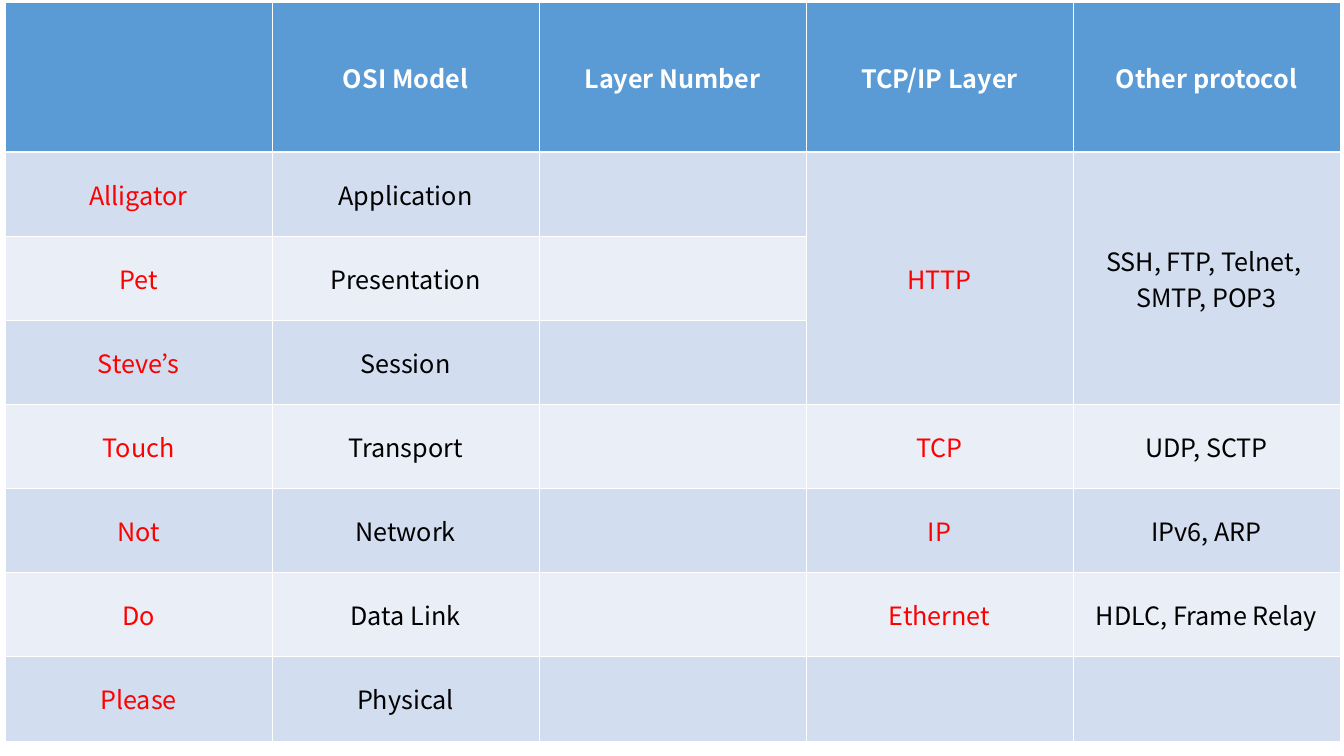
from dataclasses import dataclass

from lxml import etree
from pptx import Presentation
from pptx.dml.color import RGBColor
from pptx.enum.text import MSO_ANCHOR, PP_ALIGN
from pptx.oxml.ns import qn
from pptx.table import Table, _Cell
from pptx.util import Inches, Pt

CENTER = PP_ALIGN.CENTER
MIDDLE = MSO_ANCHOR.MIDDLE
BLANK_LAYOUT = 6


@dataclass(frozen=True)
class Theme:
    font: str = "Noto Sans CJK KR"
    text_size: float = 18
    header_fill: str = "5B9BD5"
    band_fills: tuple[str, str] = ("D2DEEF", "EAEFF7")
    header_text: str = "FFFFFF"
    body_text: str = "000000"
    accent_text: str = "FF0000"
    border: str = "FFFFFF"
    thin_border: float = 0.45
    thick_border: float = 1.47


@dataclass(frozen=True)
class Layer:
    mnemonic: str
    osi_name: str
    tcp_ip: str = ""
    other: str = ""

    def texts(self) -> tuple[str, ...]:
        return self.mnemonic, self.osi_name, "", self.tcp_ip, self.other


THEME = Theme()
HEADERS = ("", "OSI Model", "Layer Number", "TCP/IP Layer", "Other protocol")
LAYERS = (
    Layer("Alligator", "Application", "HTTP", "SSH, FTP, Telnet, \nSMTP, POP3"),
    Layer("Pet", "Presentation"),
    Layer("Steve’s", "Session"),
    Layer("Touch", "Transport", "TCP", "UDP, SCTP"),
    Layer("Not", "Network", "IP", "IPv6, ARP"),
    Layer("Do", "Data Link", "Ethernet", "HDLC, Frame Relay"),
    Layer("Please", "Physical"),
)
ACCENT_COLUMNS = (0, 3)
MERGED_COLUMNS = (3, 4)
MERGED_ROWS = (1, 3)

TABLE_LEFT, TABLE_TOP = 0.05, 0.02
COLUMN_WIDTH = 2.65
TABLE_HEIGHT, HEADER_HEIGHT = 7.33, 1.49
BODY_HEIGHT = (TABLE_HEIGHT - HEADER_HEIGHT) / len(LAYERS)


def add_borders(cell: _Cell, row: int) -> None:
    """Draw the four cell borders, thick between header and body."""
    thick_side = {0: "lnB", 1: "lnT"}.get(row)
    properties = cell._tc.get_or_add_tcPr()
    for side in ("lnL", "lnR", "lnT", "lnB"):
        width = THEME.thick_border if side == thick_side else THEME.thin_border
        line = etree.SubElement(properties, qn(f"a:{side}"), w=str(int(Pt(width))))
        fill = etree.SubElement(line, qn("a:solidFill"))
        etree.SubElement(fill, qn("a:srgbClr"), val=THEME.border)


def write_text(cell: _Cell, text: str, color: str, bold: bool) -> None:
    font_format = {"name": THEME.font, "size": Pt(THEME.text_size), "bold": bold}
    cell.text = text
    for para in cell.text_frame.paragraphs:
        para.alignment = CENTER
        for span in para.runs:
            for name, value in font_format.items():
                setattr(span.font, name, value)
            span.font.color.rgb = RGBColor.from_string(color)


def format_cell(cell: _Cell, row: int, column: int, text: str) -> None:
    is_header = row == 0
    if is_header:
        fill, color = THEME.header_fill, THEME.header_text
    else:
        fill = THEME.band_fills[(row - 1) % 2]
        color = THEME.accent_text if column in ACCENT_COLUMNS else THEME.body_text
    add_borders(cell, row)
    cell.fill.solid()
    cell.fill.fore_color.rgb = RGBColor.from_string(fill)
    cell.vertical_anchor = MIDDLE
    if text:
        write_text(cell, text, color, is_header)


def fill_table(table: Table) -> None:
    for column in table.columns:
        column.width = Inches(COLUMN_WIDTH)
    rows = (HEADERS, *(layer.texts() for layer in LAYERS))
    for row, texts in enumerate(rows):
        table.rows[row].height = Inches(BODY_HEIGHT if row else HEADER_HEIGHT)
        for column, text in enumerate(texts):
            format_cell(table.cell(row, column), row, column, text)
    first, last = MERGED_ROWS
    for column in MERGED_COLUMNS:
        table.cell(first, column).merge(table.cell(last, column))


def main() -> None:
    deck = Presentation()
    deck.slide_width, deck.slide_height = Inches(13.34), Inches(7.5)
    page = deck.slides.add_slide(deck.slide_layouts[BLANK_LAYOUT])
    frame = page.shapes.add_table(
        len(LAYERS) + 1, len(HEADERS),
        Inches(TABLE_LEFT), Inches(TABLE_TOP),
        Inches(COLUMN_WIDTH * len(HEADERS)), Inches(TABLE_HEIGHT),
    )
    fill_table(frame.table)
    deck.save("out.pptx")


if __name__ == "__main__":
    main()
